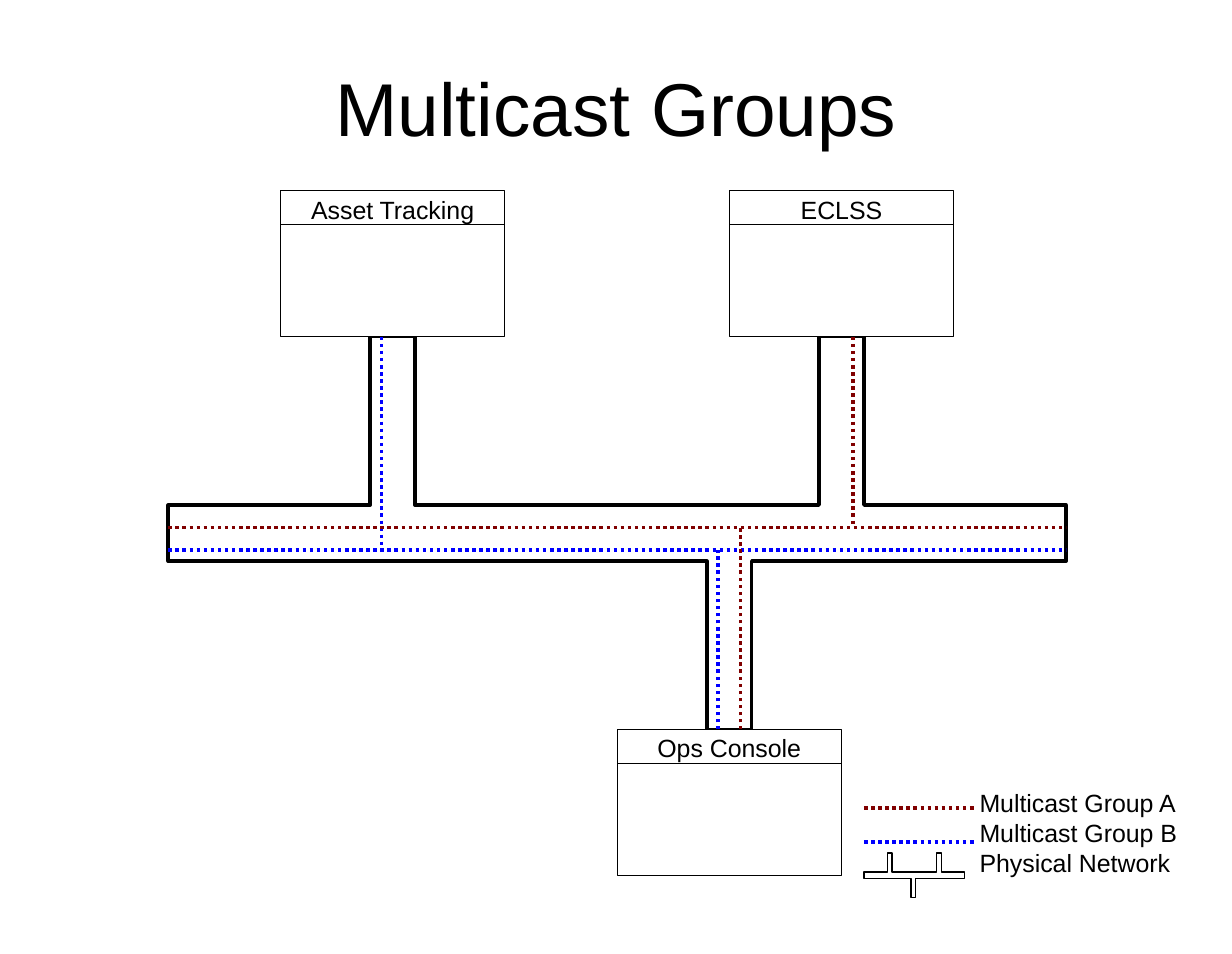
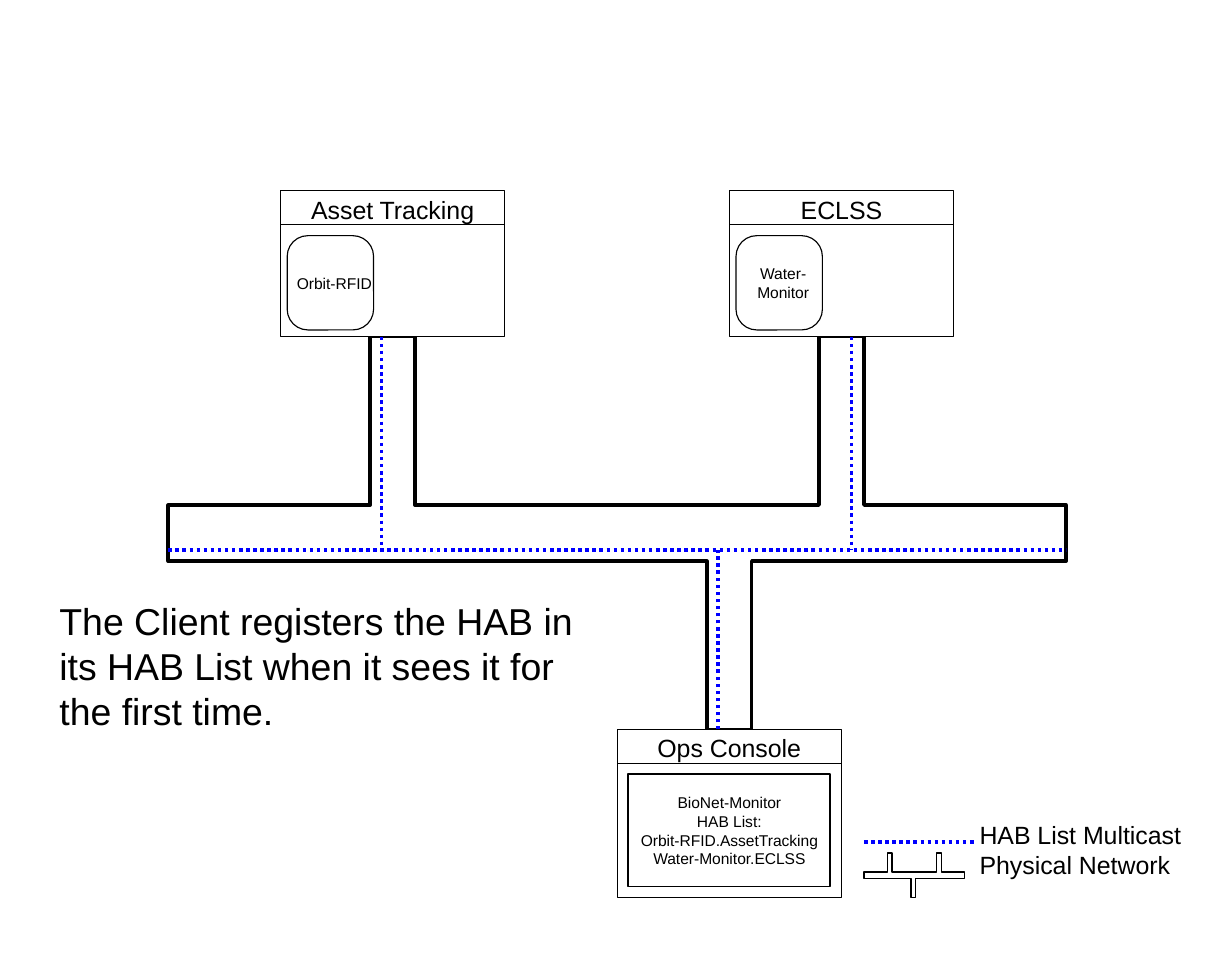
"""Builds two slides that show multicast groups on one physical network."""
from lxml.etree import SubElement
from pptx import Presentation
from pptx.dml.color import RGBColor
from pptx.enum.dml import MSO_LINE
from pptx.enum.shapes import MSO_CONNECTOR, MSO_SHAPE
from pptx.enum.text import MSO_ANCHOR, PP_ALIGN
from pptx.oxml.ns import qn
from pptx.util import Pt

PX = 9144
SLIDE_SIZE = (1098, 850)
BLACK = RGBColor(0, 0, 0)
WHITE = RGBColor(255, 255, 255)
MAROON = RGBColor(128, 0, 0)
BLUE = RGBColor(0, 0, 255)
FONT = "Arial"
THIN, MEDIUM, THICK = 0.75, 1.13, 2.27

NETWORK = dict(left=150, right=950, levels=(300, 450, 500, 650),
               upper_stems=(330, 730), lower_stem=630, stem=40)
NETWORK_KEY = dict(left=770, right=860, levels=(760, 777, 783, 800),
                   upper_stems=(791, 835), lower_stem=812, stem=4)
NODE_WIDTH, HEADER_HEIGHT = 200, 30
LEGEND_LEFT, LEGEND_TEXT_LEFT, LEGEND_BOTTOM = 770, 870, 800
LEGEND_LINE, LEGEND_STEP = 27, 30

SLIDES = [
    dict(
        texts=[("Multicast Groups", (188, 40, 722, 110),
                dict(size=48, align=PP_ALIGN.CENTER, anchor=MSO_ANCHOR.MIDDLE))],
        traffic=[
            (BLUE, 490, [(340, 300), (640, 650)]),
            (MAROON, 470, [(660, 650), (760, 300)]),
        ],
        legend=[("Multicast Group A", MAROON), ("Multicast Group B", BLUE)],
        nodes=[("Asset Tracking", 250, 170, 130, None),
               ("ECLSS", 650, 170, 130, None),
               ("Ops Console", 550, 650, 130, None)],
    ),
    dict(
        texts=[("The Client registers the HAB in its HAB List when it sees it "
                "for the first time.", (50, 530, 470, 130), dict(size=24))],
        traffic=[(BLUE, 490, [(340, 300), (640, 650), (759, 300)])],
        legend=[("HAB List Multicast", BLUE)],
        nodes=[("Asset Tracking", 250, 170, 130, "Orbit-RFID"),
               ("ECLSS", 650, 170, 130, "Water-Monitor"),
               ("Ops Console", 550, 650, 150,
                ["BioNet-Monitor", "HAB List:",
                 "Orbit-RFID.AssetTracking", "Water-Monitor.ECLSS"])],
    ),
]


def write(shape, text, size=16, align=PP_ALIGN.LEFT, anchor=MSO_ANCHOR.TOP, inset=3):
    frame = shape.text_frame
    frame.text = text
    margins = {f"margin_{side}": inset * PX for side in ("left", "right", "top", "bottom")}
    for name, value in dict(margins, word_wrap=True, vertical_anchor=anchor).items():
        setattr(frame, name, value)
    for paragraph in frame.paragraphs:
        paragraph.alignment = align
        for name, value in dict(name=FONT, size=Pt(size)).items():
            setattr(paragraph.font, name, value)
        paragraph.font.color.rgb = BLACK


def add_text(slide, text, box, **style):
    write(slide.shapes.add_textbox(*(v * PX for v in box)), text, **style)


def outline(shape, width):
    shape.shadow.inherit = False
    shape.fill.solid()
    shape.fill.fore_color.rgb = WHITE
    shape.line.color.rgb = BLACK
    shape.line.width = Pt(width)


def add_box(slide, kind, box, width=THIN):
    shape = slide.shapes.add_shape(kind, *(v * PX for v in box))
    outline(shape, width)
    return shape


def add_line(slide, start, end, color=BLACK, width=THIN, dash=None):
    link = slide.shapes.add_connector(
        MSO_CONNECTOR.STRAIGHT, *(v * PX for v in (*start, *end)))
    link.line.color.rgb = color
    for name, value in dict(width=Pt(width), dash_style=dash).items():
        setattr(link.line, name, value)
    SubElement(link._element.spPr, qn("a:effectLst"))


def add_traffic_line(slide, start, end, color):
    add_line(slide, start, end, color, THICK, MSO_LINE.ROUND_DOT)


def add_network(slide, width, left, right, levels, upper_stems, lower_stem, stem):
    top, bus_top, bus_bottom, bottom = levels
    points = [(left, bus_top)]
    for x in upper_stems:
        points += [(x, bus_top), (x, top), (x + stem, top), (x + stem, bus_top)]
    points += [(right, bus_top), (right, bus_bottom),
               (lower_stem + stem, bus_bottom), (lower_stem + stem, bottom),
               (lower_stem, bottom), (lower_stem, bus_bottom)]
    builder = slide.shapes.build_freeform(left, bus_bottom, scale=PX)
    builder.add_line_segments(points, close=True)
    outline(builder.convert_to_shape(), width)


def add_legend(slide, groups):
    labels = [label for label, _ in groups] + ["Physical Network"]
    top = LEGEND_BOTTOM - 101 + (3 - len(labels)) * (LEGEND_LINE + 1)
    add_text(slide, "\n".join(labels),
             (LEGEND_TEXT_LEFT, top, 228, LEGEND_BOTTOM - top))
    add_network(slide, THIN, **NETWORK_KEY)
    for index, (_, color) in enumerate(reversed(groups)):
        y = LEGEND_BOTTOM - 50 - index * LEGEND_STEP
        add_traffic_line(slide, (LEGEND_LEFT, y), (LEGEND_TEXT_LEFT, y), color)


def add_node(slide, name, left, top, height, content):
    node = add_box(slide, MSO_SHAPE.RECTANGLE, (left, top, NODE_WIDTH, height))
    write(node, name, align=PP_ALIGN.CENTER)
    header = top + HEADER_HEIGHT
    add_line(slide, (left, header), (left + NODE_WIDTH, header))
    centred = dict(size=10, align=PP_ALIGN.CENTER, anchor=MSO_ANCHOR.MIDDLE)
    if isinstance(content, list):
        client = add_box(slide, MSO_SHAPE.RECTANGLE,
                         (left + 10, header + 10, NODE_WIDTH - 20, 100), MEDIUM)
        write(client, "\n".join(content), **centred)
    elif content:
        hab = add_box(slide, MSO_SHAPE.ROUNDED_RECTANGLE, (left + 6, header + 10, 77, 84))
        hab.adjustments[0] = 0.24
        add_text(slide, content, (left + 6, header + 10, 84, 84), inset=6, **centred)


def build_slide(slide, texts, traffic, legend, nodes):
    add_network(slide, THICK, **NETWORK)
    for text, box, style in texts:
        add_text(slide, text, box, **style)
    for color, bus_y, drops in traffic:
        add_traffic_line(slide, (NETWORK["left"], bus_y), (NETWORK["right"], bus_y), color)
        for x, node_y in drops:
            add_traffic_line(slide, (x, node_y), (x, bus_y), color)
    add_legend(slide, legend)
    for node in nodes:
        add_node(slide, *node)


def main():
    deck = Presentation()
    deck.slide_width, deck.slide_height = (v * PX for v in SLIDE_SIZE)
    for content in SLIDES:
        build_slide(deck.slides.add_slide(deck.slide_layouts[6]), **content)
    deck.save("out.pptx")


if __name__ == "__main__":
    main()
